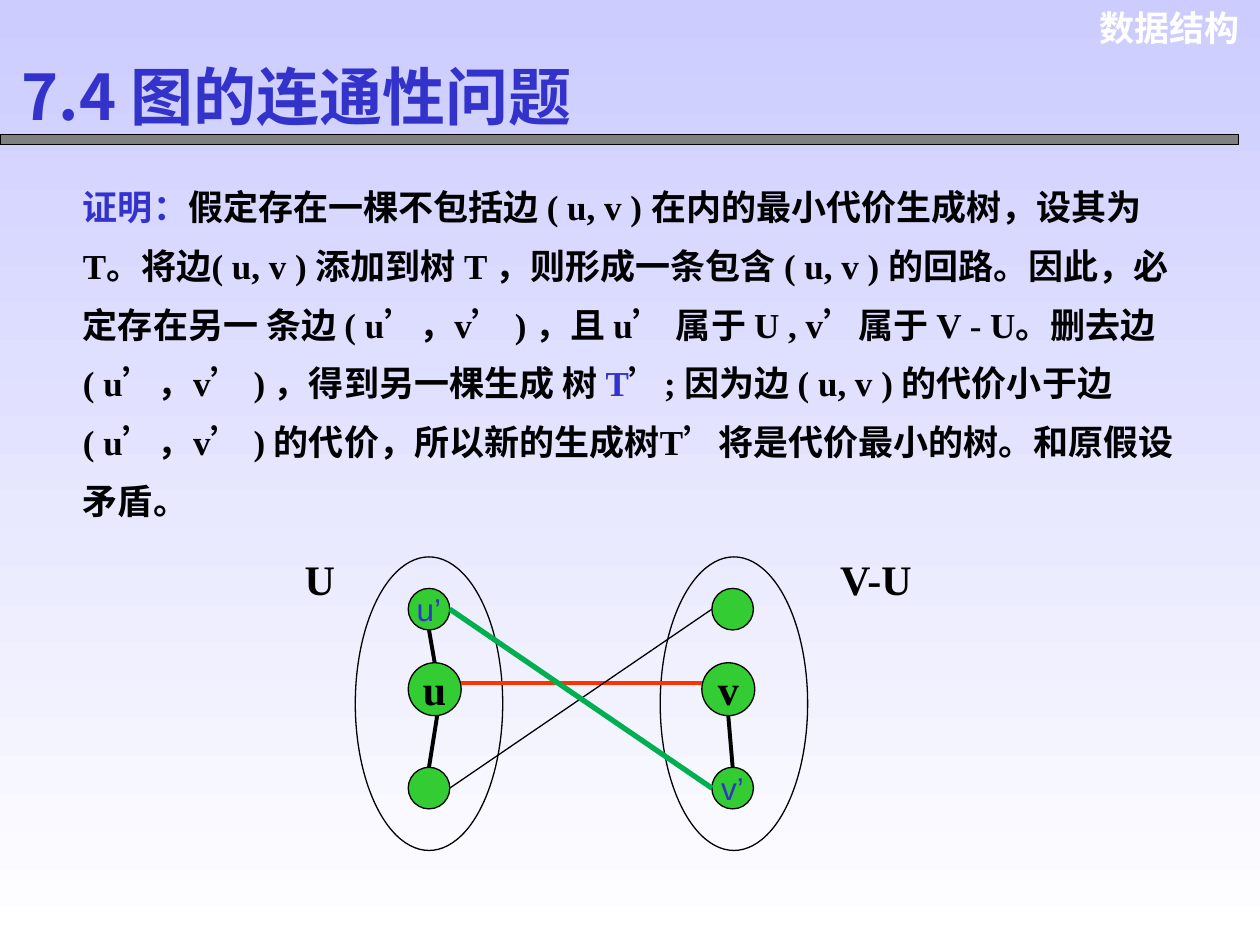
from pptx import Presentation
from pptx.dml.color import RGBColor
from pptx.enum.shapes import MSO_CONNECTOR, MSO_SHAPE
from pptx.enum.text import MSO_ANCHOR, PP_ALIGN
from pptx.oxml.ns import qn
from pptx.util import Inches, Pt

LEFT, CENTER, RIGHT = PP_ALIGN.LEFT, PP_ALIGN.CENTER, PP_ALIGN.RIGHT
TOP, MIDDLE = MSO_ANCHOR.TOP, MSO_ANCHOR.MIDDLE
RECTANGLE, OVAL = MSO_SHAPE.RECTANGLE, MSO_SHAPE.OVAL
STRAIGHT = MSO_CONNECTOR.STRAIGHT

SERIF, SANS, CJK, PRIME_FONT = "Times New Roman", "Arial", "Noto Sans CJK SC", "Lato"
BLACK, WHITE, BLUE, GREEN = "000000", "FFFFFF", "3333CC", "33CC33"

# Content: the proof as (text, colour) parts; primes get their own font
HEADER = "数据结构"
TITLE = "7.4 图的连通性问题"
PROOF = [
    ("证明：", BLUE),
    ("假定存在一棵不包括边 ( u, v ) 在内的最小代价生成树，设其为 T。"
     "将边( u, v ) 添加到树 T ，则形成一条包含 ( u, v ) 的回路。"
     "因此，必定存在另一 条边 ( u’，v’ ) ，且 u’ 属于 U , v’属于 V - U。"
     "删去边 ( u’，v’ ) ，得到另一棵生成 树 ", BLACK),
    ("T", BLUE),
    ("’; 因为边 ( u, v ) 的代价小于边( u’，v’ ) 的代价，"
     "所以新的生成树T’将是代价最小的树。和原假设矛盾。", BLACK),
]

# Diagram geometry in inches
SMALL, LARGE = 0.33, 0.42
SET_WIDTH, SET_HEIGHT, SET_TOP = 1.17, 2.33, 4.42
LEFT_X, RIGHT_X = 3.24, 5.65          # left edges of the small nodes
TOP_Y, MIDDLE_Y, BOTTOM_Y = 4.67, 5.26, 6.09
SET_LEFTS = [2.82, 5.24]
SET_LABELS = [("U", 2.32, 0.5), ("V-U", 6.57, 1.17)]
NODES = [  # left, top, diameter, label
    (LEFT_X, TOP_Y, SMALL, "u’"),
    (LEFT_X, MIDDLE_Y, LARGE, "u"),
    (LEFT_X, BOTTOM_Y, SMALL, ""),
    (RIGHT_X, TOP_Y, SMALL, ""),
    (5.57, MIDDLE_Y, LARGE, "v"),
    (RIGHT_X, BOTTOM_Y, SMALL, "v’"),
]
INNER_X = LEFT_X + SMALL
UPPER, LOWER = TOP_Y + SMALL / 2, BOTTOM_Y + SMALL / 2
LEFT_MID, RIGHT_MID = LEFT_X + SMALL / 2, RIGHT_X + SMALL / 2
EDGES = [  # start, end, colour, width
    ((LEFT_X + LARGE, 5.42), (5.57, 5.42), "FF3300", 2.25),
    ((INNER_X, LOWER), (RIGHT_X, UPPER), BLACK, 0.75),
    ((INNER_X, UPPER), (RIGHT_X, LOWER), "00B050", 3),
    ((LEFT_MID, TOP_Y + SMALL), (3.45, MIDDLE_Y), BLACK, 2.25),
    ((3.47, MIDDLE_Y + LARGE), (LEFT_MID, BOTTOM_Y), BLACK, 2.25),
    ((5.78, MIDDLE_Y + LARGE), (RIGHT_MID, BOTTOM_Y), BLACK, 2.25),
]


def color(value):
    return RGBColor.from_string(value)


def write(shape, parts, size=20, bold=True, align=LEFT, anchor=TOP, wrap=True, spacing=None):
    """Fill a shape with one paragraph of (text, colour, font) runs."""
    frame = shape.text_frame
    frame.word_wrap = wrap
    frame.vertical_anchor = anchor
    paragraph = frame.paragraphs[0]
    paragraph.alignment = align
    if spacing:
        paragraph.line_spacing = spacing
    for text, run_color, font_name in parts:
        run = paragraph.add_run()
        run.text = text
        font = run.font
        font.size, font.bold, font.name = Pt(size), bold, font_name
        font.color.rgb = color(run_color)
        east_asian = run._r.get_or_add_rPr().makeelement(qn("a:ea"), {"typeface": CJK})
        run._r.rPr.find(qn("a:latin")).addnext(east_asian)


def add_text(slide, box, parts, **style):
    shape = slide.shapes.add_textbox(*map(Inches, box))
    write(shape, parts, **style)
    return shape


def add_outline(slide, kind, box, fill=None):
    shape = slide.shapes.add_shape(kind, *map(Inches, box))
    shape.shadow.inherit = False
    if fill:
        shape.fill.solid()
        shape.fill.fore_color.rgb = color(fill)
    else:
        shape.fill.background()
    shape.line.color.rgb = color(BLACK)
    shape.line.width = Pt(0.75)
    return shape


def add_edge(slide, start, end, line_color, width):
    edge = slide.shapes.add_connector(STRAIGHT, *map(Inches, start + end))
    edge.line.color.rgb = color(line_color)
    edge.line.width = Pt(width)
    properties = edge._element.spPr
    properties.append(properties.makeelement(qn("a:effectLst"), {}))


def split_primes(parts):
    """Separate the prime marks from the serif text around them."""
    for text, run_color in parts:
        for index, piece in enumerate(text.split("’")):
            if index:
                yield "’", run_color, PRIME_FONT
            if piece:
                yield piece, run_color, SERIF


def main():
    presentation = Presentation()
    presentation.slide_width, presentation.slide_height = Inches(10), Inches(7.5)
    slide = presentation.slides.add_slide(presentation.slide_layouts[5])

    # Background
    background = slide.background.fill
    background.gradient()
    background.gradient_angle = 270
    for stop, (position, value) in zip(background.gradient_stops, [(0, "CCCCFF"), (1, WHITE)]):
        stop.position = position
        stop.color.rgb = color(value)

    # Header, rule and title
    add_text(slide, (8.57, 0, 1.37, 0.44), [(HEADER, WHITE, SANS)], align=RIGHT)
    add_outline(slide, RECTANGLE, (0, 1.07, 9.83, 0.08), "808080")
    title = slide.shapes.title
    title.left, title.top, title.width, title.height = map(Inches, (0.07, 0.48, 4.95, 0.55))
    write(title, [(TITLE, BLUE, CJK)], size=36, anchor=MIDDLE)

    # Proof
    proof = add_text(slide, (0.56, 1.29, 8.98, 2.9), split_primes(PROOF), spacing=1.4)
    proof.text_frame.margin_right = Inches(0.13)

    # Vertex sets and their labels
    for left in SET_LEFTS:
        add_outline(slide, OVAL, (left, SET_TOP, SET_WIDTH, SET_HEIGHT))
    for text, left, width in SET_LABELS:
        add_text(slide, (left, 4.34, width, 0.5), [(text, BLACK, SERIF)], size=24)

    # Vertices and edges
    for left, top, diameter, label in NODES:
        node = add_outline(slide, OVAL, (left, top, diameter, diameter), GREEN)
        if label:
            large = diameter == LARGE
            run = (label, BLACK, SERIF) if large else (label, BLUE, SANS)
            write(node, [run], size=24 if large else 18, bold=large,
                  align=CENTER, anchor=MIDDLE, wrap=False)
    for edge in EDGES:
        add_edge(slide, *edge)

    presentation.save("out.pptx")


if __name__ == "__main__":
    main()
